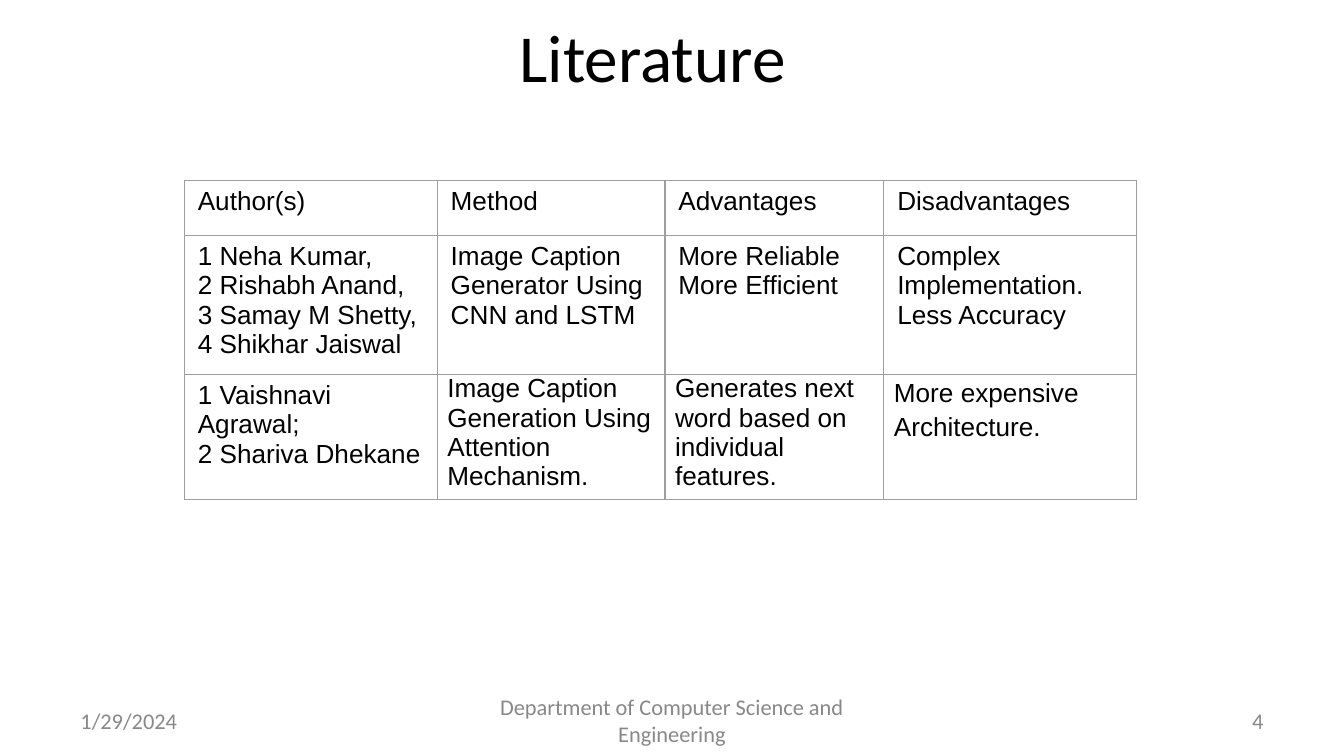
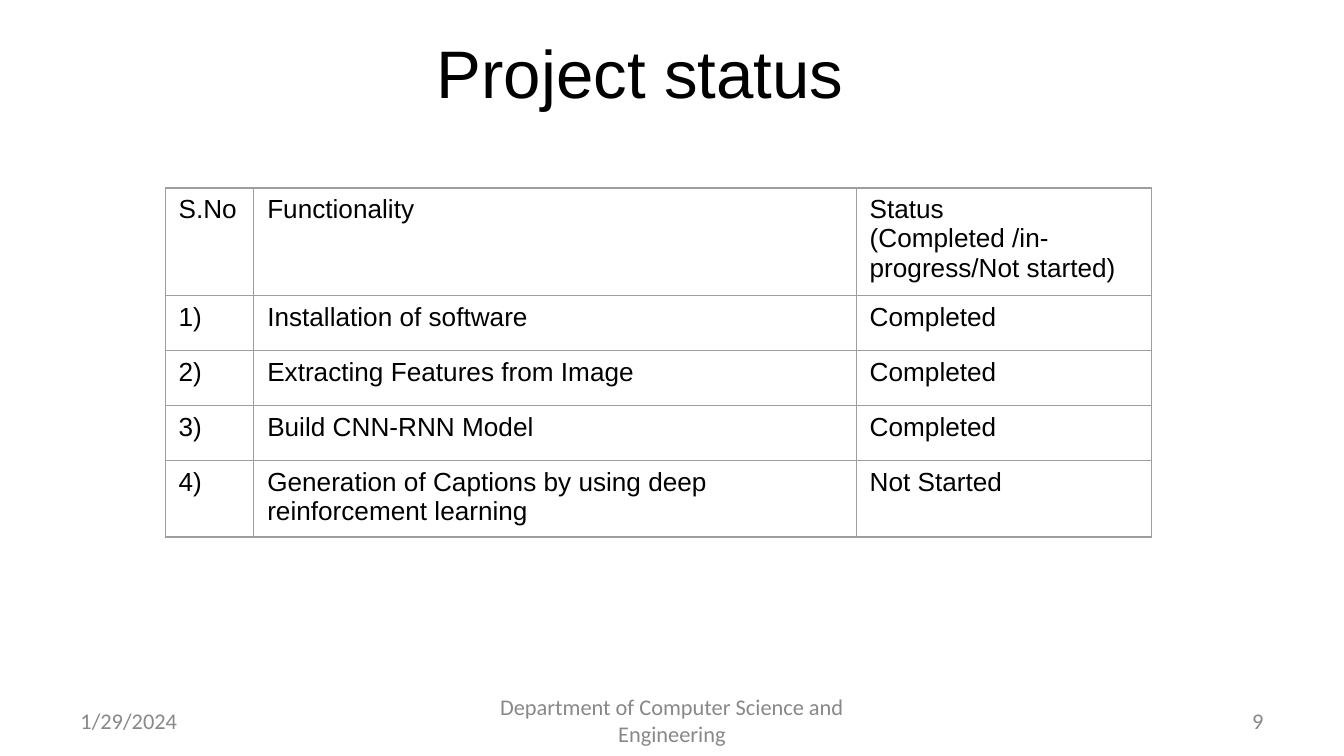
from dataclasses import dataclass

from lxml.etree import SubElement
from pptx import Presentation
from pptx.dml.color import RGBColor
from pptx.enum.text import MSO_ANCHOR, MSO_AUTO_SIZE, PP_ALIGN
from pptx.oxml.ns import qn
from pptx.util import Pt

TITLE_ONLY_LAYOUT = 5


@dataclass(frozen=True)
class Theme:
    ink: RGBColor = RGBColor(0x00, 0x00, 0x00)
    muted: RGBColor = RGBColor(0x88, 0x88, 0x88)
    paper: RGBColor = RGBColor(0xFF, 0xFF, 0xFF)
    grid: str = "9E9E9E"
    grid_width: float = 0.75
    heading_font: str = "Calibri"
    body_font: str = "Arial"
    title_size: int = 36
    table_size: int = 14
    footer_size: int = 12
    row_height: float = 29.5


@dataclass(frozen=True)
class Cell:
    """Cell text with settings that differ from the ordinary cell."""
    text: str
    tight: bool = False
    line_spacing: float | None = None


class Deck:
    def __init__(self, theme):
        self.theme = theme
        self.presentation = Presentation()
        self.presentation.slide_width = Pt(720)
        self.presentation.slide_height = Pt(405)
        self.slide = None

    def add_slide(self, number):
        layout = self.presentation.slide_layouts[TITLE_ONLY_LAYOUT]
        self.slide = self.presentation.slides.add_slide(layout)
        fill = self.slide.background.fill
        fill.solid()
        fill.fore_color.rgb = self.theme.paper
        self.add_footer("1/29/2024", 36, 168, PP_ALIGN.LEFT)
        self.add_footer("Department of Computer Science and Engineering",
                        246, 228, PP_ALIGN.CENTER)
        self.add_footer(str(number), 516, 168, PP_ALIGN.RIGHT)

    def style_paragraph(self, paragraph, font_name, size, color):
        font = paragraph.font
        font.name, font.size, font.bold = font_name, Pt(size), False
        font.color.rgb = color

    def add_title(self, text, left, top, font_name):
        title = self.slide.shapes.title
        title.left, title.top = Pt(left), Pt(top)
        title.width, title.height = Pt(481.5), Pt(49.5)
        frame = title.text_frame
        frame.text = text
        frame.auto_size = MSO_AUTO_SIZE.NONE
        frame.vertical_anchor = MSO_ANCHOR.MIDDLE
        paragraph = frame.paragraphs[0]
        paragraph.alignment = PP_ALIGN.CENTER
        self.style_paragraph(paragraph, font_name, self.theme.title_size,
                             self.theme.ink)

    def add_footer(self, text, left, width, alignment):
        box = self.slide.shapes.add_textbox(Pt(left), Pt(375.25), Pt(width), Pt(21.5))
        frame = box.text_frame
        frame.word_wrap = True
        frame.vertical_anchor = MSO_ANCHOR.MIDDLE
        frame.text = text
        paragraph = frame.paragraphs[0]
        paragraph.alignment = alignment
        self.style_paragraph(paragraph, self.theme.heading_font,
                             self.theme.footer_size, self.theme.muted)

    def add_table(self, left, top, height, column_widths, rows):
        frame = self.slide.shapes.add_table(
            len(rows), len(column_widths), Pt(left), Pt(top),
            Pt(sum(column_widths)), Pt(height))
        table = frame.table
        table.first_row = table.horz_banding = False
        for column, width in zip(table.columns, column_widths):
            column.width = Pt(width)
        for row, contents in zip(table.rows, rows):
            row.height = Pt(self.theme.row_height)
            for cell, content in zip(row.cells, contents):
                self.fill_cell(cell, content)
        frame.height = Pt(height)

    def fill_cell(self, cell, content):
        if isinstance(content, str):
            content = Cell(content)
        cell.text = content.text
        if content.tight:
            cell.margin_left = cell.margin_right = Pt(5.4)
            cell.margin_top = cell.margin_bottom = 0
        for paragraph in cell.text_frame.paragraphs:
            paragraph.line_spacing = content.line_spacing
            self.style_paragraph(paragraph, self.theme.body_font,
                                 self.theme.table_size, self.theme.ink)
        self.draw_borders(cell)
        cell.fill.background()

    def draw_borders(self, cell):
        properties = cell._tc.get_or_add_tcPr()
        for side in ("lnL", "lnR", "lnT", "lnB"):
            line = SubElement(properties, qn(f"a:{side}"),
                              w=str(Pt(self.theme.grid_width)))
            fill = SubElement(line, qn("a:solidFill"))
            SubElement(fill, qn("a:srgbClr"), val=self.theme.grid)


def build_literature(deck):
    deck.add_slide(4)
    deck.add_title("Literature ", 113, 5, deck.theme.heading_font)
    deck.add_table(98.75, 96.5, 170.5, (135.5, 122, 117.25, 135.5), (
        ("Author(s)", "Method", "Advantages", "Disadvantages"),
        ("1 Neha Kumar,\n2 Rishabh Anand,\n3 Samay M Shetty,\n4 Shikhar Jaiswal",
         "Image Caption Generator Using CNN and LSTM",
         "More Reliable\nMore Efficient",
         "Complex Implementation.\nLess Accuracy"),
        ("1 Vaishnavi Agrawal;\n2 Shariva Dhekane",
         Cell("Image Caption Generation Using Attention Mechanism.", tight=True),
         Cell("Generates next word based on individual features.", tight=True),
         Cell("More expensive Architecture.", tight=True, line_spacing=1.15)),
    ))


def build_project_status(deck):
    deck.add_slide(9)
    deck.add_title("Project status", 102.25, 13.5, deck.theme.body_font)
    tasks = (
        ("Installation of software", "Completed"),
        ("Extracting Features from Image", "Completed"),
        ("Build CNN-RNN Model", "Completed"),
        ("Generation of Captions by using deep reinforcement learning",
         "Not Started"),
    )
    header = ("S.No", "Functionality",
              "Status\n(Completed /in-progress/Not started)")
    numbered = [(f"{number})", *task) for number, task in enumerate(tasks, 1)]
    deck.add_table(88.5, 100.75, 185.75, (47.5, 322.75, 158.25),
                   [header, *numbered])


def main():
    deck = Deck(Theme())
    build_literature(deck)
    build_project_status(deck)
    deck.presentation.save("out.pptx")


if __name__ == "__main__":
    main()
